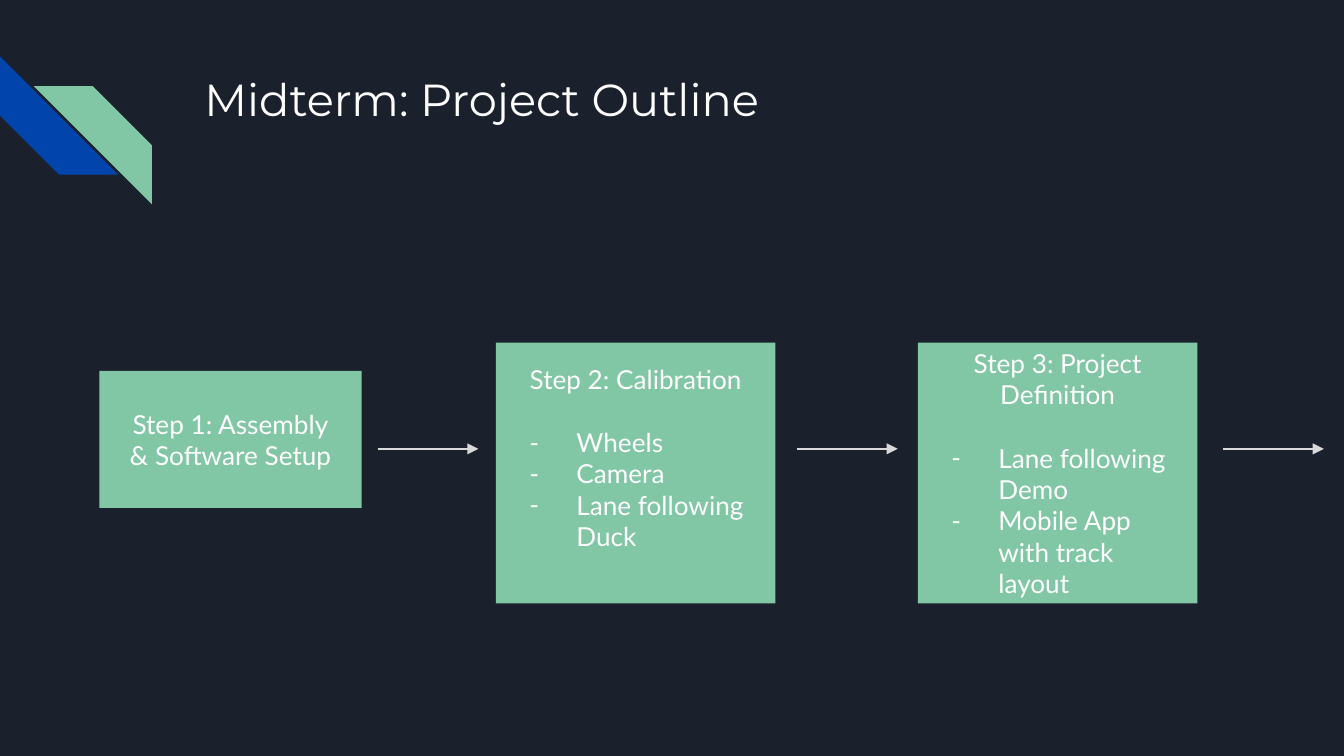
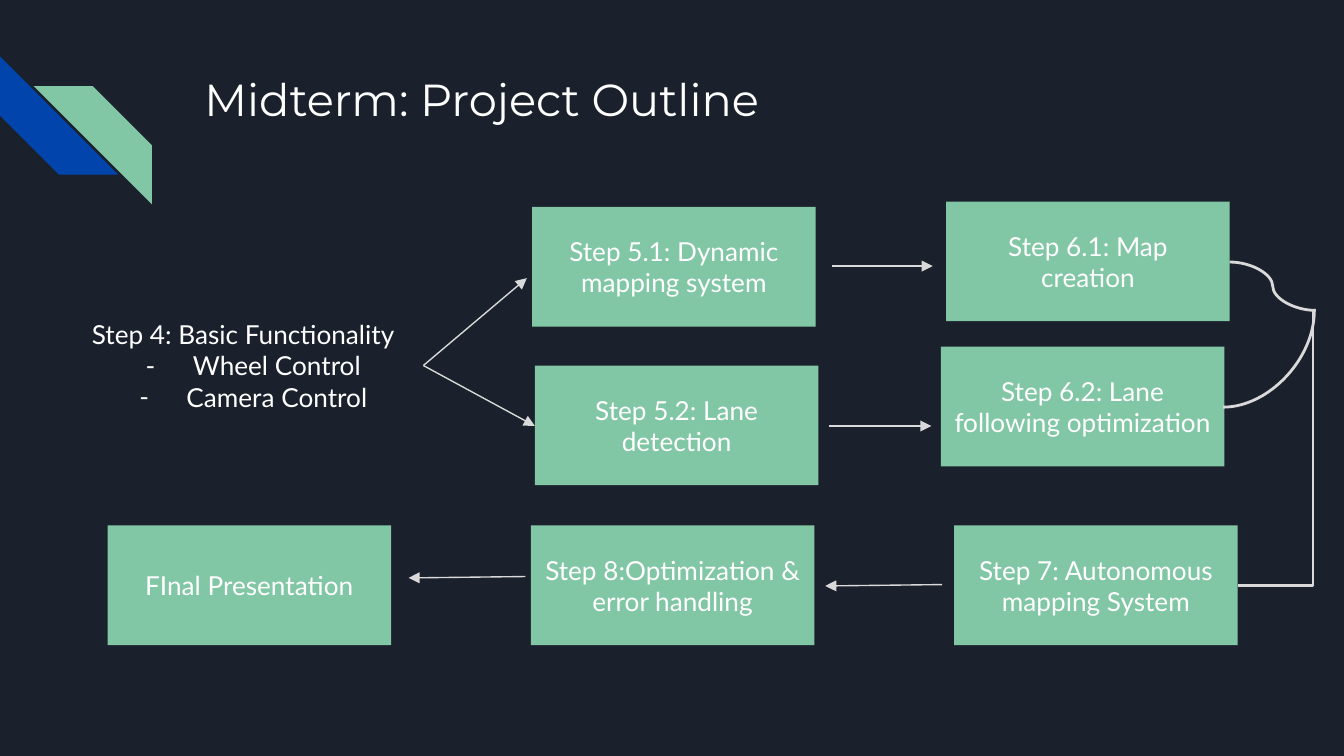
"""Build the two-slide midterm project outline as a flow of steps."""
from lxml import etree
from pptx import Presentation
from pptx.dml.color import RGBColor
from pptx.enum.shapes import MSO_CONNECTOR, MSO_SHAPE
from pptx.enum.text import MSO_ANCHOR, MSO_AUTO_SIZE, PP_ALIGN
from pptx.oxml.ns import qn
from pptx.util import Inches, Pt

STRAIGHT, ELBOW, CURVE = MSO_CONNECTOR.STRAIGHT, MSO_CONNECTOR.ELBOW, MSO_CONNECTOR.CURVE
RECTANGLE, STRIPE = MSO_SHAPE.RECTANGLE, MSO_SHAPE.DIAGONAL_STRIPE
TOP, MIDDLE = MSO_ANCHOR.TOP, MSO_ANCHOR.MIDDLE
LEFT, CENTER = PP_ALIGN.LEFT, PP_ALIGN.CENTER
NO_AUTOFIT = MSO_AUTO_SIZE.NONE

COLORS = {
    name: RGBColor.from_string(value)
    for name, value in {
        "night": "1B212C",
        "blue": "0145AC",
        "green": "82C7A5",
        "white": "FFFFFF",
        "arrow": "D9D9D9",
    }.items()
}
TITLE = "Midterm: Project Outline"
TITLE_FONT, BODY_FONT = "Montserrat", "Lato"
STRIPES = [(0, 0.42, 270, "blue"), (0.25, 0.64, 90, "green")]
STRIPE_SIZE = Inches(0.88)
STEP_W, STEP_H = 2.11, 0.89


def add_step(slide, box, heading, bullets=(), color="green", bullet_align=LEFT, gap=0, bottom=0.1):
    step = slide.shapes.add_shape(RECTANGLE, *map(Inches, box))
    step.shadow.inherit = False
    step.fill.solid()
    step.fill.fore_color.rgb = COLORS[color]
    step.line.fill.background()
    frame = step.text_frame
    frame.word_wrap = True
    frame.vertical_anchor = MIDDLE
    frame.margin_left = frame.margin_right = frame.margin_top = Inches(0.1)
    frame.margin_bottom = Inches(bottom)
    frame.text = "\n".join([heading, *bullets])
    first_bullet = len(frame.paragraphs) - len(bullets)
    for index, paragraph in enumerate(frame.paragraphs):
        paragraph.alignment = CENTER
        if index >= first_bullet:
            paragraph.alignment = bullet_align
            properties = paragraph._p.get_or_add_pPr()
            properties.set("marL", str(Inches(0.5)))
            properties.set("indent", str(Inches(-0.35)))
            etree.SubElement(properties, qn("a:buFont"), typeface=BODY_FONT)
            etree.SubElement(properties, qn("a:buChar"), char="-")
        elif gap:
            paragraph.space_after = Pt(gap)
        for run in paragraph.runs:
            run.font.name = BODY_FONT
            run.font.size = Pt(14)
            run.font.color.rgb = COLORS["white"]


def add_link(slide, ends, kind=STRAIGHT, preset=None):
    link = slide.shapes.add_connector(kind, *map(Inches, ends))
    link.line.color.rgb = COLORS["arrow"]
    link.line.width = Pt(0.75 if kind == STRAIGHT else 1.5)
    properties = link._element.spPr
    if preset:
        properties.find(qn("a:prstGeom")).set("prst", preset)
    if kind == STRAIGHT:
        etree.SubElement(properties.find(qn("a:ln")), qn("a:tailEnd"), type="triangle")
    etree.SubElement(properties, qn("a:effectLst"))


prs = Presentation()
prs.slide_width = Inches(10)
prs.slide_height = Inches(10) * 9 // 16
background = prs.slide_master.background.fill
background.solid()
background.fore_color.rgb = COLORS["night"]

slides = []
for _ in range(2):
    slide = prs.slides.add_slide(prs.slide_layouts[5])
    slides.append(slide)
    for left, top, rotation, color in STRIPES:
        stripe = slide.shapes.add_shape(STRIPE, Inches(left), Inches(top), STRIPE_SIZE, STRIPE_SIZE)
        stripe.rotation = rotation
        stripe.shadow.inherit = False
        stripe.fill.solid()
        stripe.fill.fore_color.rgb = COLORS[color]
        stripe.line.fill.background()
    title = slide.shapes.title
    title.left, title.top, title.width, title.height = map(Inches, (1.42, 0.43, 7.7, 1))
    frame = title.text_frame
    frame.text = TITLE
    frame.auto_size = NO_AUTOFIT
    frame.vertical_anchor = TOP
    frame.margin_left = frame.margin_right = frame.margin_top = frame.margin_bottom = Inches(0.1)
    heading = frame.paragraphs[0]
    heading.alignment = LEFT
    font = heading.runs[0].font
    font.name = TITLE_FONT
    font.size = Pt(24)
    font.color.rgb = COLORS["white"]

early, late = slides

add_step(early, (0.74, 2.76, 1.95, 1.02), "Step 1: Assembly\n& Software Setup")
add_step(early, (3.69, 2.55, 2.08, 1.94), "Step 2: Calibration",
         ["Wheels", "Camera", "Lane following Duck"], gap=17, bottom=0.33)
add_step(early, (6.83, 2.55, 2.08, 1.94), "Step 3: Project Definition",
         ["Lane following Demo", "Mobile App with track layout"], gap=17)
for start in (2.81, 5.93, 9.1):
    add_link(early, (start, 3.34, start + 0.75, 3.34))

add_step(late, (0.47, 2.21, 2.68, 1.02), "Step 4: Basic Functionality",
         ["Wheel Control", "Camera Control"], color="night", bullet_align=CENTER)
for left, top, heading in [
    (3.96, 1.54, "Step 5.1: Dynamic mapping system"),
    (3.98, 2.72, "Step 5.2: Lane detection"),
    (7.04, 1.5, "Step 6.1: Map creation"),
    (7, 2.58, "Step 6.2: Lane following optimization"),
    (7.1, 3.91, "Step 7: Autonomous mapping System"),
    (3.95, 3.91, "Step 8:Optimization & error handling"),
    (0.8, 3.91, "FInal Presentation"),
]:
    add_step(late, (left, top, STEP_W, STEP_H), heading)
for ends in [
    (3.15, 2.72, 3.92, 2.07),
    (3.15, 2.72, 3.98, 3.17),
    (6.19, 1.98, 6.94, 1.98),
    (6.17, 3.17, 6.93, 3.17),
    (7.01, 4.35, 6.14, 4.36),
    (3.91, 4.29, 3.04, 4.3),
]:
    add_link(late, ends)
add_link(late, (9.15, 1.95, 9.79, 2.31), CURVE)
add_link(late, (9.1, 3.03, 9.78, 2.31), CURVE, "curvedConnector2")
add_link(late, (9.21, 4.36, 9.77, 2.3), ELBOW, "bentConnector2")

prs.save("out.pptx")
